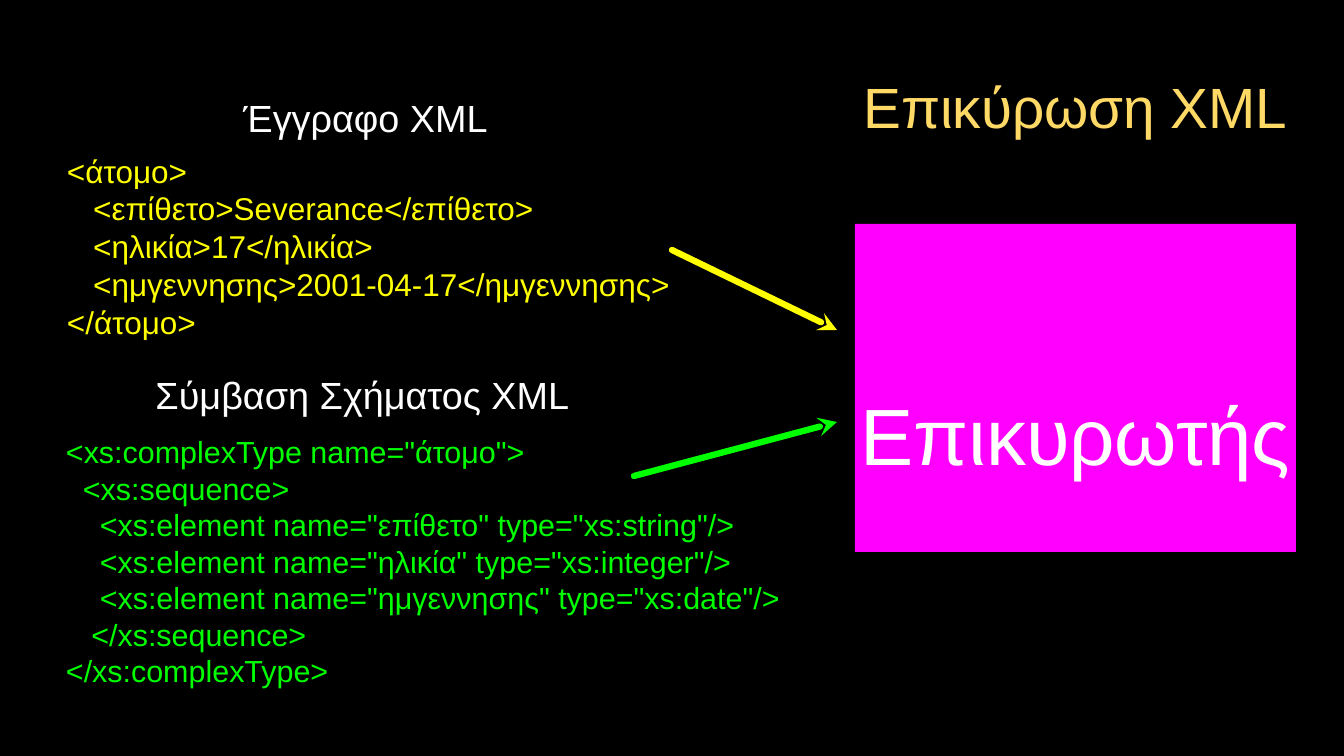
import pptx
import pptx.dml.color
import pptx.enum.shapes
import pptx.enum.text
import pptx.oxml.ns
import pptx.util
from lxml import etree

EMU_PER_PX = 12095
FONT = "Arial"
WHITE, BLACK, GOLD = "FFFFFF", "000000", "FFD966"
YELLOW, GREEN, MAGENTA = "FFFF00", "00FF00", "FF00FF"
CENTER = pptx.enum.text.PP_ALIGN.CENTER
LEFT = pptx.enum.text.PP_ALIGN.LEFT

DOCUMENT = """<άτομο>
   <επίθετο>Severance</επίθετο>
   <ηλικία>17</ηλικία>
   <ημγεννησης>2001-04-17</ημγεννησης>
</άτομο>"""

SCHEMA = """<xs:complexType name="άτομο">
  <xs:sequence>
    <xs:element name="επίθετο" type="xs:string"/>
    <xs:element name="ηλικία" type="xs:integer"/>
    <xs:element name="ημγεννησης" type="xs:date"/>
   </xs:sequence>
</xs:complexType>"""


def px(*lengths):
    return [pptx.util.Emu(length * EMU_PER_PX) for length in lengths]


def rgb(color):
    return pptx.dml.color.RGBColor.from_string(color)


class SlideBuilder:
    """Draws styled elements on one slide."""

    def __init__(self, slide, font):
        self.slide = slide
        self.font = font

    def background(self, color):
        fill = self.slide.background.fill
        fill.solid()
        fill.fore_color.rgb = rgb(color)

    def set_text(self, frame, text, size, color, align, top=0):
        frame.word_wrap = True
        frame.vertical_anchor = pptx.enum.text.MSO_ANCHOR.MIDDLE
        frame.margin_left = frame.margin_right = frame.margin_bottom = 0
        frame.margin_top = px(top)[0]
        frame.text = text
        for paragraph in frame.paragraphs:
            paragraph.alignment = align
            paragraph.font.name = self.font
            paragraph.font.size = pptx.util.Pt(size)
            paragraph.font.color.rgb = rgb(color)

    def text(self, box, text, size, color, align=CENTER):
        label = self.slide.shapes.add_textbox(*px(*box))
        self.set_text(label.text_frame, text, size, color, align)

    def block(self, box, text, size, fill, top):
        block = self.slide.shapes.add_shape(
            pptx.enum.shapes.MSO_SHAPE.RECTANGLE, *px(*box))
        block.shadow.inherit = False
        block.fill.solid()
        block.fill.fore_color.rgb = rgb(fill)
        block.line.fill.background()
        self.set_text(block.text_frame, text, size, WHITE, CENTER, top)

    def arrow(self, start, end, color):
        arrow = self.slide.shapes.add_connector(
            pptx.enum.shapes.MSO_CONNECTOR.STRAIGHT, *px(*start, *end))
        arrow.line.color.rgb = rgb(color)
        arrow.line.width = pptx.util.Pt(6)
        properties = arrow._element.spPr
        line = properties.find(pptx.oxml.ns.qn("a:ln"))
        line.set("cap", "rnd")
        etree.SubElement(line, pptx.oxml.ns.qn("a:tailEnd"), type="stealth")
        etree.SubElement(properties, pptx.oxml.ns.qn("a:effectLst"))


def main():
    deck = pptx.Presentation()
    deck.slide_width, deck.slide_height = px(1344, 756)
    builder = SlideBuilder(deck.slides.add_slide(deck.slide_layouts[6]), FONT)
    builder.background(BLACK)

    builder.text((67, 150, 664, 192), DOCUMENT, 30, YELLOW, LEFT)
    builder.text((66, 426, 733, 270), SCHEMA, 29, GREEN, LEFT)
    builder.text((142, 369, 441, 51), "Σύμβαση Σχήματος XML", 36, WHITE)
    builder.text((199, 92, 333, 51), "Έγγραφο XML", 36, WHITE)
    builder.arrow((672, 250), (837, 330), YELLOW)
    builder.arrow((634, 476), (837, 422), GREEN)
    builder.block((855, 224, 441, 328), "Επικυρωτής", 76, MAGENTA, top=92)
    builder.text((855, 64, 441, 83), "Επικύρωση XML", 54, GOLD)

    deck.save("out.pptx")


if __name__ == "__main__":
    main()
